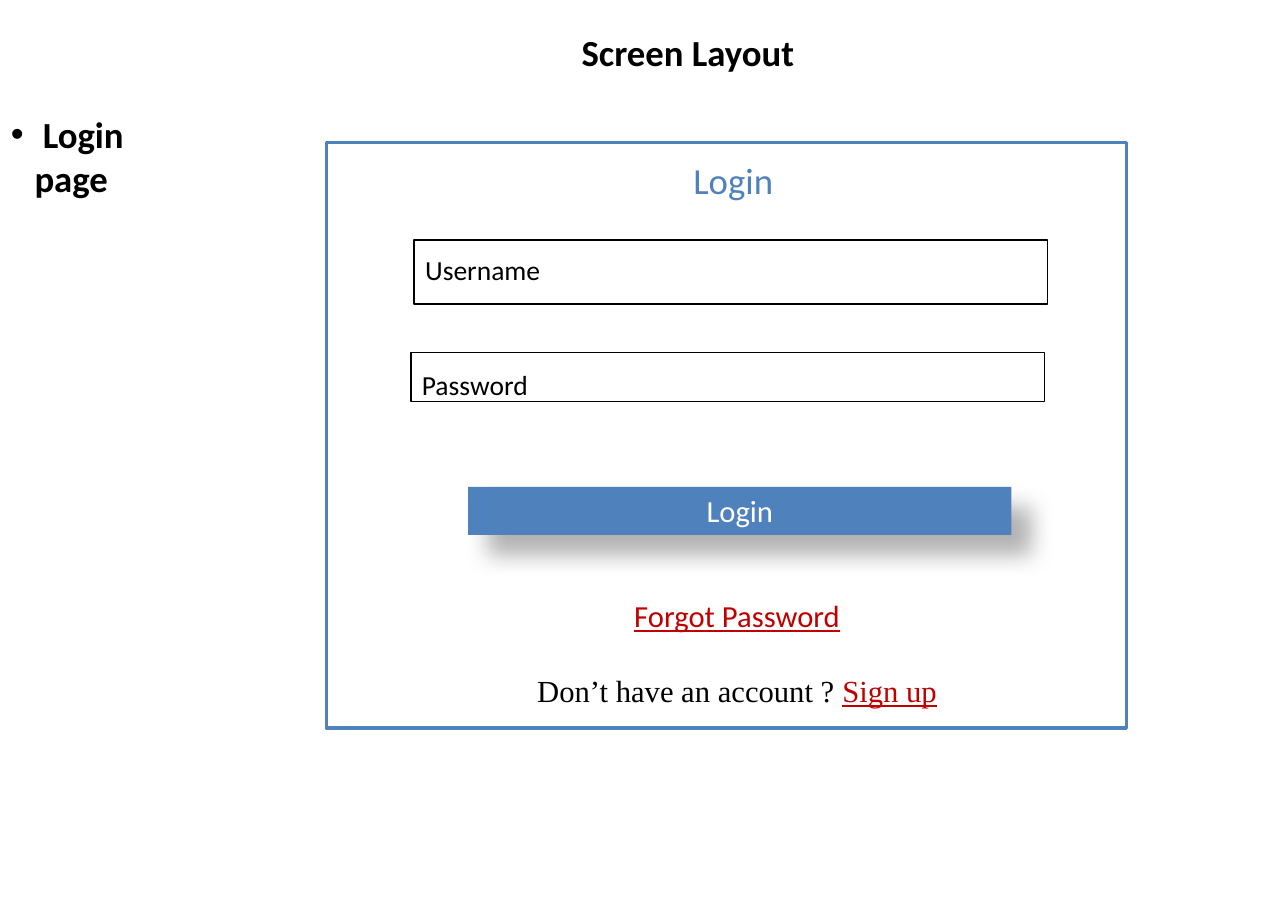
from dataclasses import dataclass

import lxml.etree
import pptx
import pptx.dml.color
import pptx.enum.shapes
import pptx.enum.text
import pptx.oxml.ns
import pptx.util

Pt = pptx.util.Pt
ALIGN = pptx.enum.text.PP_ALIGN
COLORS = {"black": "000000", "white": "FFFFFF", "blue": "4F81BD", "red": "C00000"}


@dataclass
class Run:
    text: str
    size: float
    color: str = "black"
    font: str = "Calibri"
    bold: bool = False
    underline: bool = False


@dataclass
class Para:
    runs: list[Run]
    align: pptx.enum.text.PP_ALIGN = ALIGN.LEFT
    before: float = 0
    bullet_indent: float = 0


@dataclass
class Box:
    left: float
    top: float
    width: float
    height: float
    paras: list[Para]
    fill: str = ""  # an empty fill makes a plain text box
    line: str = ""
    line_width: float = 1
    insets: tuple[float, float, float, float] = (7.2, 3.6, 7.2, 3.6)
    wrap: bool = True
    shadow: bool = False


def rgb(name: str) -> pptx.dml.color.RGBColor:
    return pptx.dml.color.RGBColor.from_string(COLORS[name])


def add_shadow(s) -> None:
    effects = s._element.spPr.find(pptx.oxml.ns.qn("a:effectLst"))
    effects.append(pptx.oxml.parse_xml(
        f'<a:outerShdw {pptx.oxml.ns.nsdecls("a")} blurRad="{Pt(15)}" dist="{Pt(18)}"'
        ' dir="2700000" algn="tl" rotWithShape="0">'
        f'<a:srgbClr val="{COLORS["black"]}"><a:alpha val="30000"/></a:srgbClr>'
        '</a:outerShdw>'))


def add_bullet(p, indent: float) -> None:
    pPr = p._p.get_or_add_pPr()
    pPr.set("marL", str(Pt(indent)))
    pPr.set("indent", str(Pt(-indent)))
    font = lxml.etree.SubElement(pPr, pptx.oxml.ns.qn("a:buFont"))
    font.set("typeface", "Arial")
    mark = lxml.etree.SubElement(pPr, pptx.oxml.ns.qn("a:buChar"))
    mark.set("char", "•")


def add_text(s, box: Box) -> None:
    tf = s.text_frame
    tf.word_wrap = box.wrap
    tf.vertical_anchor = pptx.enum.text.MSO_ANCHOR.TOP
    tf.margin_left, tf.margin_top, tf.margin_right, tf.margin_bottom = map(Pt, box.insets)
    for i, para in enumerate(box.paras):
        p = tf.add_paragraph() if i else tf.paragraphs[0]
        p.alignment = para.align
        p.space_before = Pt(para.before)
        if para.bullet_indent:
            add_bullet(p, para.bullet_indent)
        for run in para.runs:
            r = p.add_run()
            r.text = run.text
            r.font.name = run.font
            r.font.size = Pt(run.size)
            r.font.bold = run.bold
            r.font.underline = run.underline
            r.font.color.rgb = rgb(run.color)


def draw_box(slide, box: Box) -> None:
    place = [Pt(v) for v in (box.left, box.top, box.width, box.height)]
    if box.fill:
        s = slide.shapes.add_shape(pptx.enum.shapes.MSO_SHAPE.RECTANGLE, *place)
        s.shadow.inherit = False
        s.fill.solid()
        s.fill.fore_color.rgb = rgb(box.fill)
        if box.line:
            s.line.color.rgb = rgb(box.line)
            s.line.width = Pt(box.line_width)
        else:
            s.line.fill.background()
        if box.shadow:
            add_shadow(s)
    else:
        s = slide.shapes.add_textbox(*place)
    if box.paras:
        add_text(s, box)


def field(label: str, left: float, top: float, height: float, inset: float) -> Box:
    return Box(left, top, 414, height, [Para([Run(label, 18)])], "white", "black",
               insets=(7.2, inset, 0, 0))


BOXES = [
    # Login panel
    Box(213.1, 92.9, 523, 383, [], "white", "blue", 2),
    # Input fields
    field("Username", 270.7, 157, 41.8, 8.6),
    field("Password", 268.6, 230.4, 32.2, 10.1),
    # Panel heading and button
    Box(434.9, 99.4, 88.6, 36, [Para([Run("Login", 24, "blue")], ALIGN.CENTER)], wrap=False),
    Box(306, 318.2, 355, 31.5, [Para([Run("Login", 20, "white")], ALIGN.CENTER)], "blue",
        shadow=True),
    # Links under the button
    Box(310.3, 362.2, 342.7, 128.2, [
        Para([Run("Forgot Password", 20, "red", underline=True)], ALIGN.CENTER),
        Para([Run("Don’t have an account ? ", 20, font="Times New Roman"),
              Run("Sign up", 20, "red", "Times New Roman", underline=True)],
             ALIGN.CENTER, before=24.6),
    ], insets=(7.2, 28.2, 7.2, 3.6)),
    # Slide title and page label
    Box(373, 15.8, 175, 36.7, [Para([Run("Screen Layout", 24, bold=True)])]),
    Box(0, 69.8, 139, 36.7, [Para([Run(" Login page", 24, bold=True)], bullet_indent=15.5)],
        insets=(7.2, 3.6, 20, 3.6)),
]


def main() -> None:
    prs = pptx.Presentation()
    prs.slide_width, prs.slide_height = Pt(841.68), Pt(595.44)
    slide = prs.slides.add_slide(prs.slide_layouts[6])
    for box in BOXES:
        draw_box(slide, box)
    prs.save("out.pptx")


if __name__ == "__main__":
    main()
